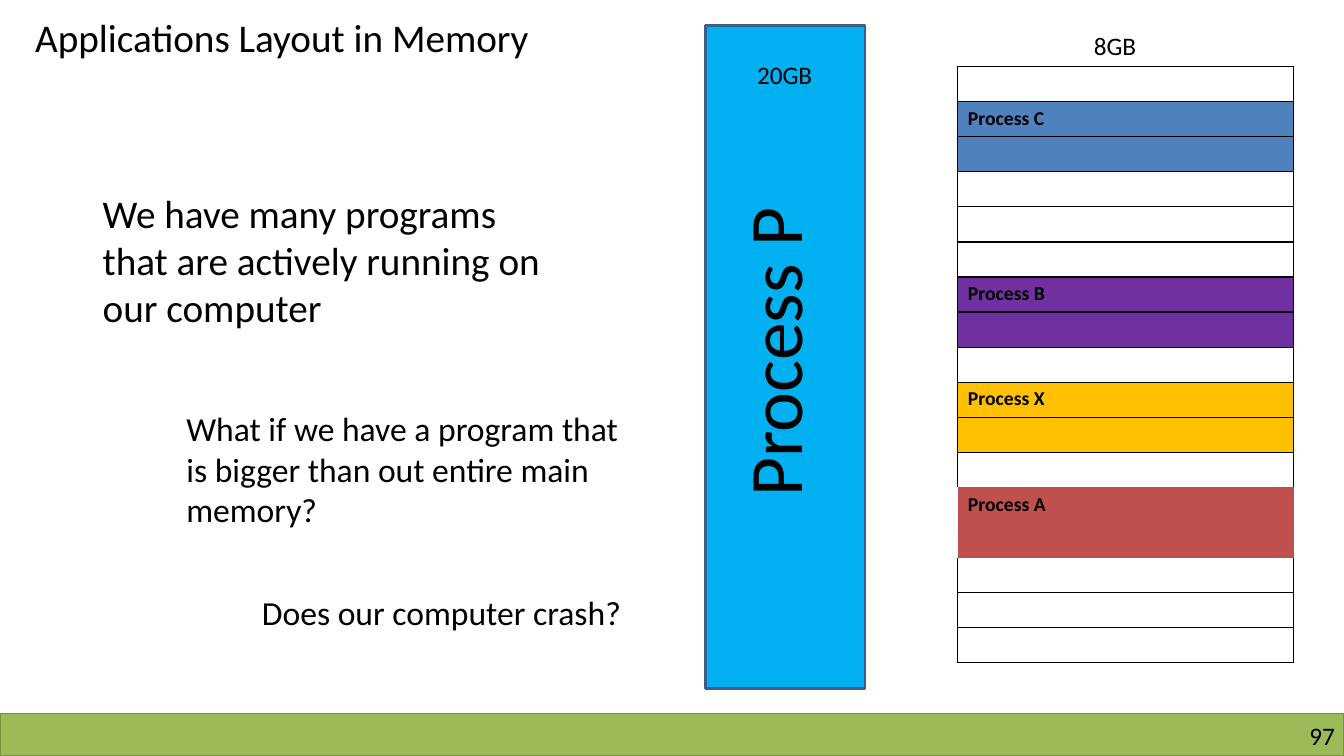
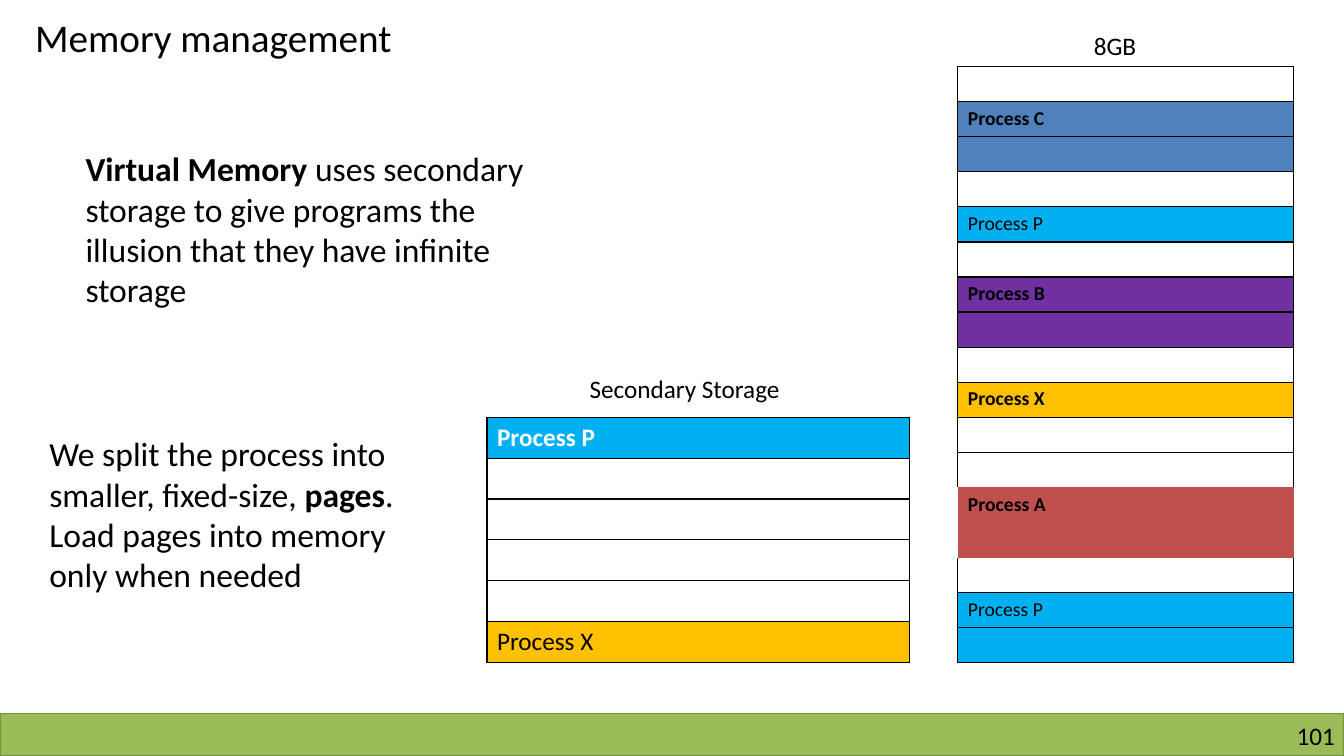
"""Build two slides on how programs share main memory."""
from typing import NamedTuple

from lxml.etree import SubElement as SubEl
from pptx import Presentation
from pptx.dml.color import RGBColor as Rgb
from pptx.enum.shapes import MSO_SHAPE as Shape
from pptx.enum.text import PP_ALIGN as Align
from pptx.oxml.ns import qn
from pptx.slide import Slide
from pptx.table import _Cell as Cell
from pptx.util import Inches, Pt

COLORS = {
    "black": "000000", "white": "FFFFFF", "band": "9BBB59", "edge": "77933C",
    "blue": "4F81BD", "purple": "7030A0", "gold": "FFC000", "red": "C0504D",
    "sky": "00B0F0", "navy": "3A5F8C",
}
FONT = "Calibri"
BARE = "red"


class Box(NamedTuple):
    left: float
    top: float
    width: float
    height: float


class Note(NamedTuple):
    text: str
    box: Box
    size: int
    turn: int = 0


class Block(NamedTuple):
    name: str = ""
    fill: str = "white"
    rows: int = 1
    bold: bool = True
    ink: str = "black"


class Grid(NamedTuple):
    box: Box
    size: int
    blocks: list[Block]


def rgb(name: str) -> Rgb:
    return Rgb.from_string(COLORS[name])


def place(box: Box) -> list[int]:
    return [Inches(side) for side in box]


def style(font, size: int, ink: str = "black", bold: bool = False) -> None:
    for key, value in {"name": FONT, "size": Pt(size), "bold": bold}.items():
        setattr(font, key, value)
    font.color.rgb = rgb(ink)


def add_note(slide: Slide, note: Note) -> None:
    shape = slide.shapes.add_textbox(*place(note.box))
    shape.rotation = note.turn
    shape.text_frame.word_wrap = True
    para = shape.text_frame.paragraphs[0]
    for index, part in enumerate(note.text.split("**")):
        run = para.add_run()
        run.text = part
        style(run.font, note.size, bold=index % 2 == 1)


def add_bar(slide: Slide, box: Box, fill: str, edge: str, width: float) -> None:
    bar = slide.shapes.add_shape(Shape.RECTANGLE, *place(box))
    bar.shadow.inherit = False
    bar.fill.solid()
    bar.fill.fore_color.rgb = rgb(fill)
    bar.line.color.rgb = rgb(edge)
    bar.line.width = Pt(width)


def add_edge(cell: Cell, side: str, shown: bool) -> None:
    props = cell._tc.get_or_add_tcPr()
    line = SubEl(props, qn(f"a:ln{side}"), w=str(Pt(1)))
    if shown:
        fill = SubEl(line, qn("a:solidFill"))
        SubEl(fill, qn("a:srgbClr"), val=COLORS["black"])
    else:
        SubEl(line, qn("a:noFill"))


def add_grid(slide: Slide, grid: Grid) -> None:
    rows = []
    for block in grid.blocks:
        rows.append(block)
        rows += [block._replace(name="")] * (block.rows - 1)
    table = slide.shapes.add_table(len(rows), 1, *place(grid.box)).table
    for key in ("first_row", "horz_banding"):
        setattr(table, key, False)
    for index, row in enumerate(rows):
        cell = table.cell(index, 0)
        above = rows[max(index - 1, 0)]
        below = rows[min(index + 1, len(rows) - 1)]
        for side, near in {"L": row, "R": row, "T": above, "B": below}.items():
            add_edge(cell, side, BARE not in (row.fill, near.fill))
        cell.fill.solid()
        cell.fill.fore_color.rgb = rgb(row.fill)
        para = cell.text_frame.paragraphs[0]
        if row.name:
            run = para.add_run()
            run.text = row.name
            style(run.font, grid.size, row.ink, row.bold)
        else:
            SubEl(para._p, qn("a:endParaRPr"), sz=str(grid.size * 100))


def add_page(deck, title: str, number: int) -> Slide:
    slide = deck.slides.add_slide(deck.slide_layouts[6])
    add_bar(slide, Box(0, 7.08, 13.33, 0.42), "band", "edge", 1)
    foot = slide.shapes.add_textbox(*place(Box(10.17, 7.15, 3.07, 0.3)))
    frame = foot.text_frame
    for side in ("left", "right", "top", "bottom"):
        setattr(frame, f"margin_{side}", 0)
    frame.word_wrap = True
    para = frame.paragraphs[0]
    para.alignment = Align.RIGHT
    run = para.add_run()
    run.text = str(number)
    style(run.font, 18)
    add_note(slide, Note(title, Box(0.25, 0.08, 6.42, 0.57), 28))
    add_note(slide, Note("8GB", Box(10.75, 0.25, 0.71, 0.4), 18))
    return slide


GAP = Block()
PROC_A = Block("Process A", "red", 2)
PROC_B = Block("Process B", "purple", 2)
PROC_C = Block("Process C", "blue", 2)
PROC_X = Block("Process X", "gold")
PROC_P = Block("Process P", "sky", bold=False)
RAM = Box(9.5, 0.66, 3.33, 5.92)

FULL = Grid(RAM, 14, [
    GAP, PROC_C, GAP._replace(rows=3), PROC_B, GAP,
    PROC_X._replace(rows=2), GAP, PROC_A, GAP._replace(rows=3),
])
PAGED = Grid(RAM, 14, [
    GAP, PROC_C, GAP, PROC_P, GAP, PROC_B, GAP, PROC_X,
    GAP._replace(rows=2), PROC_A, GAP, PROC_P._replace(rows=2),
])
STORE = Grid(Box(4.83, 4.14, 4.19, 2.43), 18, [
    PROC_P._replace(bold=True, ink="white"), GAP._replace(rows=4),
    PROC_X._replace(bold=False),
])
CRASH = [
    Note("We have many programs that are actively running on our computer",
         Box(0.92, 1.83, 4.67, 1.51), 28),
    Note("What if we have a program that is bigger than out entire main memory?",
         Box(1.75, 4, 4.5, 1.31), 24),
    Note("Does our computer crash?", Box(2.5, 5.82, 4.17, 0.5), 24),
    Note("Process P", Box(5.74, 2.59, 3.86, 1.01), 54, 270),
    Note("20GB", Box(7.41, 0.54, 0.85, 0.4), 18),
]
PAGES = [
    Note("**Virtual Memory **uses secondary storage to give programs "
         "the illusion that they have infinite storage",
         Box(0.75, 1.42, 4.75, 1.72), 24),
    Note("We split the process into smaller, fixed-size, **pages**. "
         "Load pages into memory only when needed",
         Box(0.39, 4.25, 3.75, 2.12), 24),
    Note("Secondary Storage", Box(5.75, 3.65, 2.36, 0.4), 18),
]


def main() -> None:
    deck = Presentation()
    deck.slide_width, deck.slide_height = Inches(13.33), Inches(7.5)

    slide = add_page(deck, "Applications Layout in Memory", 97)
    add_grid(slide, FULL)
    add_bar(slide, Box(7, 0.25, 1.58, 6.58), "sky", "navy", 2)
    for note in CRASH:
        add_note(slide, note)

    slide = add_page(deck, "Memory management", 101)
    for grid in (PAGED, STORE):
        add_grid(slide, grid)
    for note in PAGES:
        add_note(slide, note)

    deck.save("out.pptx")


if __name__ == "__main__":
    main()
